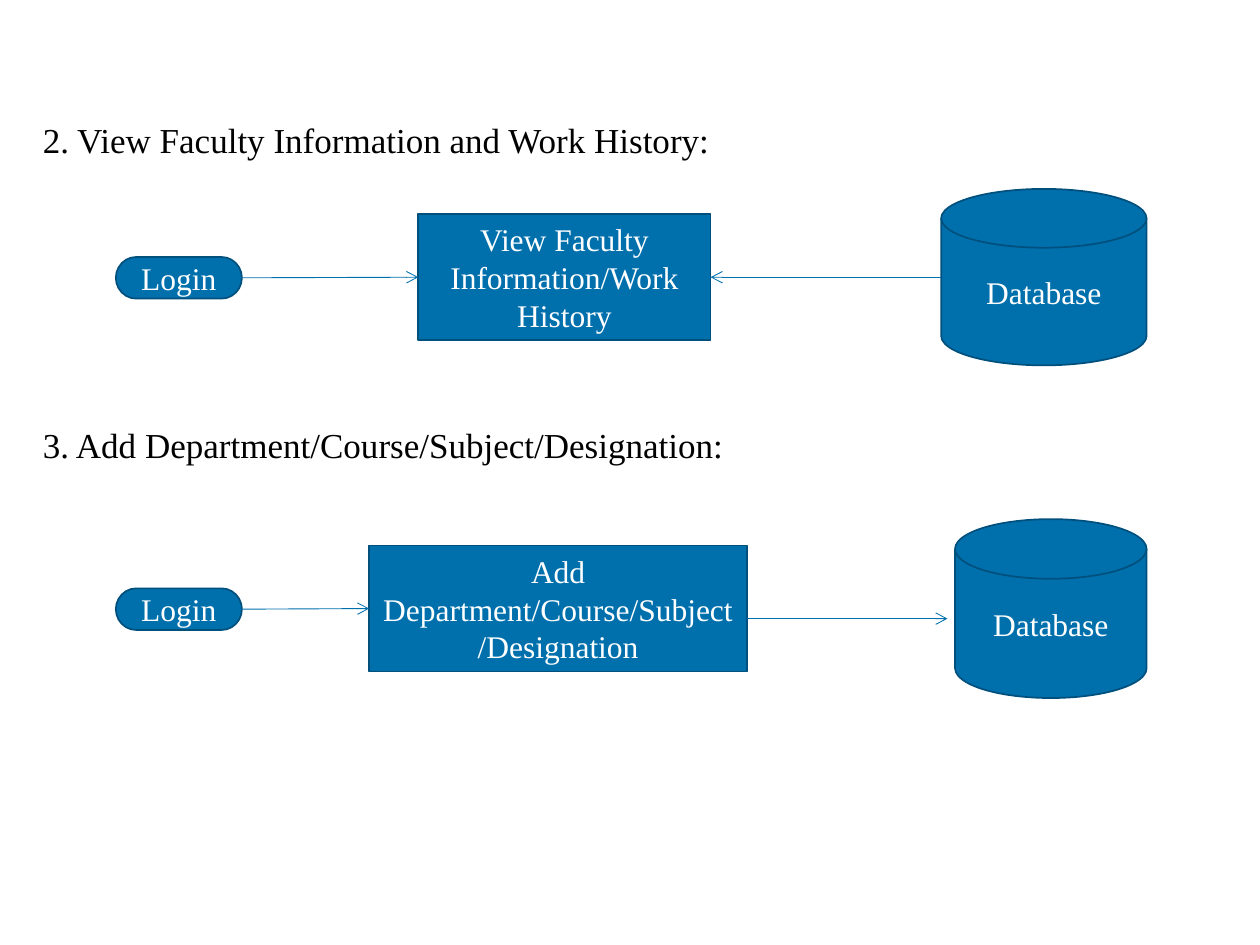
from dataclasses import dataclass

from lxml import etree
from pptx import Presentation
from pptx.dml.color import RGBColor
from pptx.enum import shapes, text
from pptx.oxml import ns
from pptx.util import Inches, Pt


@dataclass(frozen=True)
class Theme:
    font: str = "Times New Roman"
    fill: RGBColor = RGBColor(0x00, 0x70, 0xAD)
    outline: RGBColor = RGBColor(0x00, 0x50, 0x7E)
    heading: RGBColor = RGBColor(0, 0, 0)
    label: RGBColor = RGBColor(255, 255, 255)
    heading_size: Pt = Pt(20)
    label_size: Pt = Pt(18)


THEME = Theme()
SHAPE = shapes.MSO_SHAPE
LEFT, RIGHT = 1, 3  # connection sites

prs = Presentation()
prs.slide_width, prs.slide_height = Inches(10), Inches(7.5)
s = prs.slides.add_slide(prs.slide_layouts[6])


def add_node(kind, label, x, y, w, h):
    sp = s.shapes.add_shape(kind, Inches(x), Inches(y), Inches(w), Inches(h))
    sp.shadow.inherit = False
    sp.fill.solid()
    sp.fill.fore_color.rgb = THEME.fill
    sp.line.color.rgb = THEME.outline
    sp.line.width = Pt(1)
    tf = sp.text_frame
    tf.word_wrap = True
    tf.vertical_anchor = text.MSO_ANCHOR.MIDDLE
    p = tf.paragraphs[0]
    p.text = label
    p.alignment = text.PP_ALIGN.CENTER
    p.font.name = THEME.font
    p.font.size = THEME.label_size
    p.font.color.rgb = THEME.label
    return sp


def add_arrow(x1, x2, y):
    c = s.shapes.add_connector(shapes.MSO_CONNECTOR.STRAIGHT,
                               Inches(x1), Inches(y), Inches(x2), Inches(y))
    c.line.color.rgb = THEME.fill
    c.line.width = Pt(0.5)
    etree.SubElement(c.line._get_or_add_ln(), ns.qn("a:tailEnd"), type="arrow")
    etree.SubElement(c._element.spPr, ns.qn("a:effectLst"))
    return c


# Each flow: heading and its top, middle line, process label and box,
# database box, and the database arrow (start x, end x, y)
flows = [
    ("2. View Faculty Information and Work History:", 0.94, 2.2,
     "View Faculty Information/Work History", (3.32, 1.7, 2.32, 1),
     (7.47, 1.5, 1.63, 1.4), (7.47, 5.64, 2.2)),
    ("3. Add Department/Course/Subject/Designation:", 3.36, 4.83,
     "Add Department/Course/Subject/Designation", (2.93, 4.33, 3, 1),
     (7.58, 4.12, 1.52, 1.42), (5.93, 7.52, 4.91)),
]

for heading, top, mid, process_label, process_box, db_box, db_arrow in flows:
    # Heading
    tb = s.shapes.add_textbox(Inches(0.34), Inches(top), Inches(9.33), Inches(0.4))
    tf = tb.text_frame
    tf.word_wrap = True
    tf.margin_left = tf.margin_right = tf.margin_top = tf.margin_bottom = 0
    p = tf.paragraphs[0]
    p.text = heading
    p.font.name = THEME.font
    p.font.size = THEME.heading_size
    p.font.color.rgb = THEME.heading

    # Login, process and database
    login = add_node(SHAPE.FLOWCHART_TERMINATOR, "Login", 0.92, mid - 0.16, 1, 0.33)
    process = add_node(SHAPE.RECTANGLE, process_label, *process_box)
    add_node(SHAPE.FLOWCHART_MAGNETIC_DISK, "Database", *db_box)

    # Arrows
    to_process = add_arrow(1.92, process_box[0], mid)
    to_process.begin_connect(login, RIGHT)
    to_process.end_connect(process, LEFT)
    from_or_to_db = add_arrow(*db_arrow)
    if db_arrow[1] < db_arrow[0]:  # the arrow runs back to the process
        from_or_to_db.end_connect(process, RIGHT)

prs.save("out.pptx")
